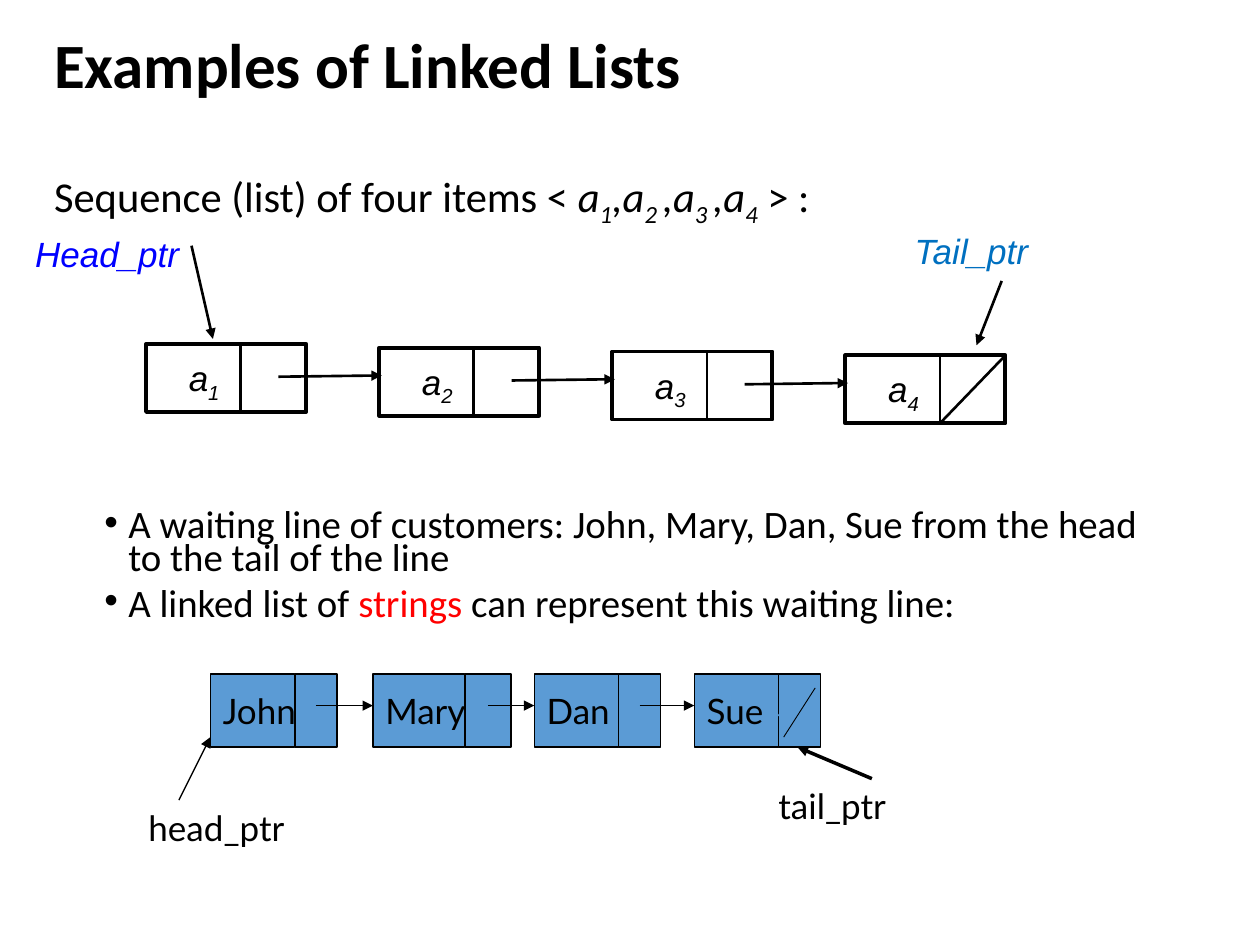
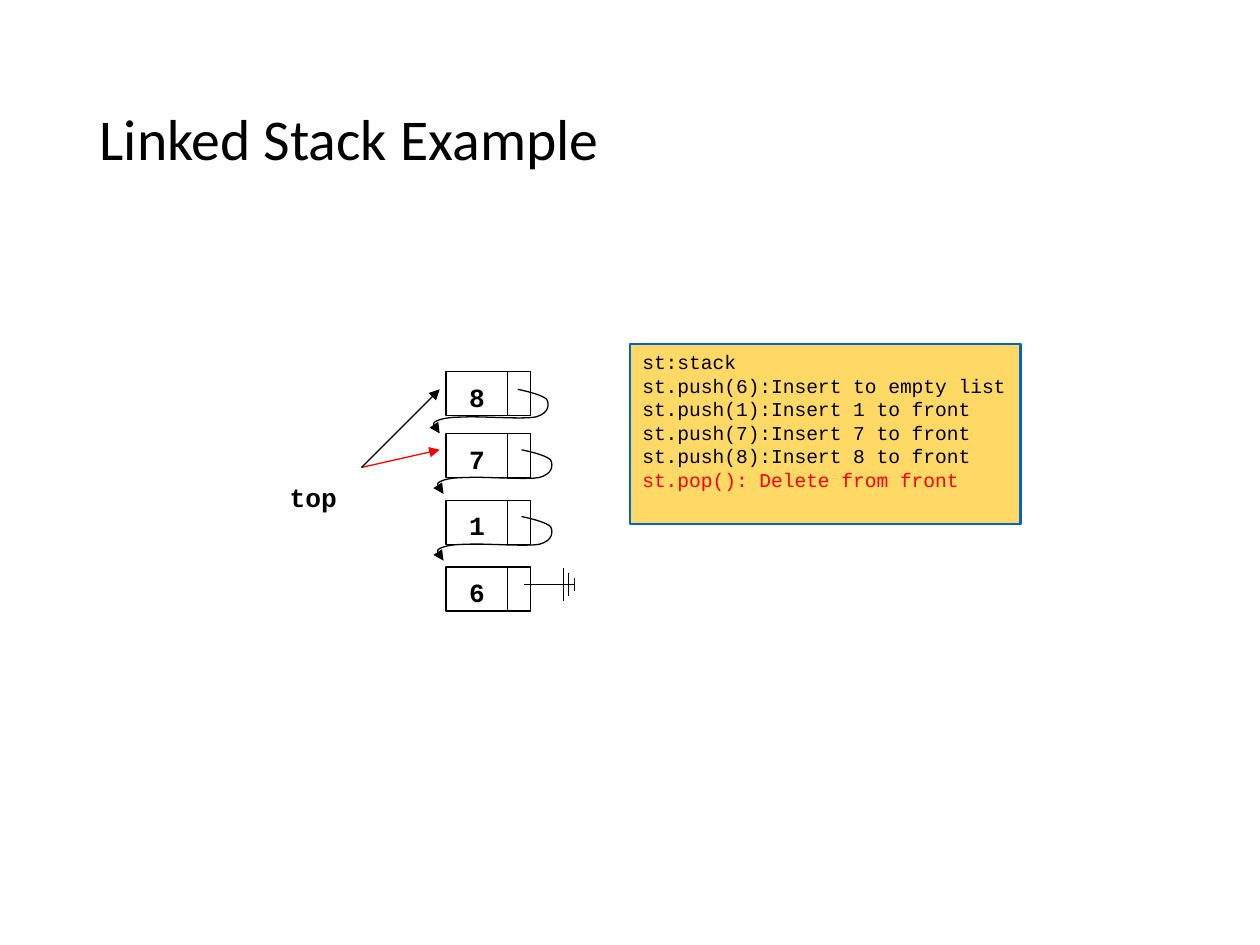
from dataclasses import dataclass

from lxml import etree
from pptx import Presentation
from pptx.dml.color import RGBColor
from pptx.enum.shapes import MSO_CONNECTOR, MSO_SHAPE
from pptx.enum.text import MSO_ANCHOR, MSO_AUTO_SIZE, PP_ALIGN
from pptx.oxml.ns import qn
from pptx.util import Inches, Pt

RECT = MSO_SHAPE.RECTANGLE
STRAIGHT = MSO_CONNECTOR.STRAIGHT
TOP, MIDDLE = MSO_ANCHOR.TOP, MSO_ANCHOR.MIDDLE
LEFT, CENTER = PP_ALIGN.LEFT, PP_ALIGN.CENTER
FIXED = MSO_AUTO_SIZE.NONE


@dataclass(frozen=True)
class Theme:
    """Colours, fonts, type sizes and line widths of the deck."""
    black: str = "000000"
    red: str = "FF0000"
    blue: str = "0000FF"
    azure: str = "0070C0"
    node: str = "5B9BD5"
    note: str = "FFD966"
    edge: str = "0563C1"
    body: str = "Calibri"
    label: str = "Lato"
    math: str = "Arial"
    code: str = "Courier New"
    head: float = 36
    title: float = 33
    lead: float = 24.3
    bullet: float = 22.2
    text: float = 20
    cell: float = 15
    small: float = 11.2
    thin: float = 0.75
    mid: float = 1.5
    thick: float = 2.25


T = Theme()
LOOP = [(0, 0), (.1, .02), (.2, .05), (.23, .08), (.25, .12), (.25, .19),
        (.14, .22), (.03, .24), (-.31, .21), (-.44, .22), (-.57, .22),
        (-.63, .24), (-.66, .26), (-.69, .28), (-.62, .33), (-.62, .35)]


def paint(font, color):
    """Set the colour of a font."""
    font.color.rgb = RGBColor.from_string(color)


def write(para, parts, face, size, color=T.black, bold=False, italic=False):
    """Fill a paragraph with (text, style) runs."""
    font = para.font
    font.name, font.size, font.bold, font.italic = face, Pt(size), bold, italic
    paint(font, color)
    for text, style in parts:
        run = para.add_run()
        run.text = text
        if style == "red":
            paint(run.font, T.red)
        if style in ("italic", "sub"):
            run.font.italic = True
        if style == "sub":
            run._r.get_or_add_rPr().set("baseline", "-25000")


def stroke(line, color, width, arrow=False):
    """Style a line, with an arrowhead at its end if asked."""
    line.color.rgb = RGBColor.from_string(color)
    line.width = Pt(width)
    if arrow:
        etree.SubElement(line._get_or_add_ln(), qn("a:tailEnd"), type="triangle")


def link(slide, start, end, color=T.black, width=T.thin, arrow=False):
    """Draw a straight line between two points."""
    wire = slide.shapes.add_connector(
        STRAIGHT, *(Inches(v) for v in (*start, *end)))
    stroke(wire.line, color, width, arrow)
    etree.SubElement(wire._element.spPr, qn("a:effectLst"))


def block(slide, box, fill=None, color=T.black, width=T.thin):
    """Draw a rectangle and return it."""
    shape = slide.shapes.add_shape(RECT, *(Inches(v) for v in box))
    shape.shadow.inherit = False
    if fill:
        shape.fill.solid()
        shape.fill.fore_color.rgb = RGBColor.from_string(fill)
    else:
        shape.fill.background()
    stroke(shape.line, color, width)
    return shape


def label(slide, box, parts, face, size, color=T.black, wrap=True, **style):
    """Add a one-paragraph text box."""
    frame = slide.shapes.add_textbox(*(Inches(v) for v in box)).text_frame
    frame.word_wrap = wrap
    write(frame.paragraphs[0], parts, face, size, color, **style)


def heading(slide, box, anchor):
    """Place the title placeholder and return its frame."""
    title = slide.shapes.title
    title.left, title.top, title.width, title.height = (Inches(v) for v in box)
    frame = title.text_frame
    frame.auto_size, frame.word_wrap = FIXED, True
    frame.vertical_anchor = anchor
    para = frame.paragraphs[0]
    para.alignment, para.line_spacing = LEFT, 0.9
    return frame


def lead(slide, box):
    """Write the title of the list slide and the sequence line under it."""
    frame = heading(slide, box, TOP)
    frame.margin_top = Inches(0.28)
    write(frame.paragraphs[0], [("Examples of Linked Lists", "")],
          T.body, T.head, bold=True)
    para = frame.add_paragraph()
    para.alignment, para.line_spacing = LEFT, 0.9
    para.space_before = Pt(39.5)
    items = [("a", "italic"), ("1", "sub")]
    for mark in ("2 ", "3 ", "4"):
        items += [(",a", "italic"), (mark, "sub")]
    write(para, [("Sequence (list) of four items < ", ""), *items, (" > :", "")],
          T.body, T.lead)


def chain(slide, x, y):
    """Draw the four-item list with its head and tail pointers."""
    wide, high, split, last = 1.27, 0.54, 0.75, 3
    for i in range(last + 1):
        left, top = x + 1.85 * i, y + 0.03 * i
        block(slide, (left, top, wide, high), width=T.thick)
        link(slide, (left + split, top), (left + split, top + high), width=T.mid)
        label(slide, (left + 0.24, top + 0.05, 0.46, 0.43),
              [("a", ""), (str(i + 1), "sub")], T.math, T.text,
              wrap=False, italic=True)
        if i < last:
            link(slide, (left + 1.05, top + 0.26), (left + 1.87, top + 0.25),
                 width=T.mid, arrow=True)
        else:
            link(slide, (left + wide, top), (left + split, top + high),
                 width=T.mid)
    label(slide, (x - 0.98, y - 0.93, 1.36, 0.44), [("Head_ptr", "")],
          T.math, T.text, T.blue, italic=True)
    link(slide, (x + 0.36, y - 0.78), (x + 0.53, y - 0.04),
         width=T.mid, arrow=True)
    label(slide, (x + 6, y - 0.96, 1.11, 0.77), [("Tail_ptr", "")],
          T.math, T.text, T.azure, wrap=False, italic=True)
    link(slide, (x + 6.79, y - 0.5), (x + 6.59, y + 0.01),
         width=T.mid, arrow=True)


def points(slide, box):
    """Write the bullets about the waiting line."""
    frame = slide.shapes.add_textbox(*(Inches(v) for v in box)).text_frame
    frame.word_wrap = True
    rows = [
        [("A waiting line of customers: John, Mary, Dan, Sue from the head "
          "to the tail of the line", "")],
        [("A linked list of ", ""), ("strings ", "red"),
         ("can represent this waiting line:", "")],
    ]
    for i, parts in enumerate(rows):
        para = frame.add_paragraph() if i else frame.paragraphs[0]
        para.line_spacing, para.space_before = 0.7, Pt(7.5)
        write(para, parts, T.body, T.bullet)
        props = para._p.get_or_add_pPr()
        props.set("marL", str(Inches(0.19)))
        props.set("indent", str(-Inches(0.19)))
        font = props.find(qn("a:defRPr"))
        font.addprevious(etree.Element(qn("a:buFont"), typeface="Arial"))
        font.addprevious(etree.Element(qn("a:buChar"), char="•"))


def queue(slide, x, y):
    """Draw the list of customers with its two pointers."""
    high, mid = 0.58, y + 0.25
    tail = None
    for name, gap, wide in (("John", 0, .67), ("Mary", 1.29, .73),
                            ("Dan", 2.57, .67), ("Sue", 3.84, .67)):
        left = x + gap
        cell = block(slide, (left, y, wide, high), T.node)
        frame = cell.text_frame
        frame.word_wrap, frame.vertical_anchor = False, MIDDLE
        frame.paragraphs[0].alignment = LEFT
        write(frame.paragraphs[0], [(name, "")], T.label, T.text)
        block(slide, (left + wide, y, wide / 2, high), T.node)
        if tail:
            link(slide, (tail, mid), (left, mid), arrow=True)
        tail = left + wide * 1.25
    link(slide, (x - 0.25, y + 1), (x, y + 0.5), arrow=True)
    label(slide, (x - 0.59, y + 1, 1.5, 0.5), [("head_ptr", "")],
          T.label, T.text)
    label(slide, (x + 4.41, y + 0.83, 1.5, 0.5), [("tail_ptr", "")],
          T.label, T.text)
    link(slide, (x + 5.25, y + 0.83), (x + 4.66, y + 0.58), width=0, arrow=True)
    link(slide, (x + 4.46, y + 0.39), (x + 4.71, y + 0.06), T.node, 0.5)
    link(slide, (x + 4.8, y + 0.11), (x + 4.55, y + 0.5), width=0.5)


def curve(knots, steps=8):
    """Return points along joined cubic curves."""
    spots = []
    for i in range(0, len(knots) - 1, 3):
        for step in range(1, steps + 1):
            t = step / steps
            u = 1 - t
            parts = (u ** 3, 3 * u * u * t, 3 * u * t * t, t ** 3)
            spots.append(tuple(sum(w * knot[axis] for w, knot in
                                   zip(parts, knots[i:i + 4]))
                               for axis in (0, 1)))
    return spots


def loop(slide, x, y):
    """Draw the curved arrow from one node to the next."""
    spots = [(Inches(x + dx), Inches(y + dy)) for dx, dy in curve(LOOP)]
    pen = slide.shapes.build_freeform(Inches(x), Inches(y))
    pen.add_line_segments(spots, close=False)
    shape = pen.convert_to_shape()
    shape.shadow.inherit = False
    shape.fill.background()
    stroke(shape.line, T.black, T.thin, arrow=True)


def stack(slide, x, y):
    """Draw the stack of nodes, its top pointers and the ground mark."""
    wide, slot, high = 0.49, 0.18, 0.35
    for name, drop in (("8", 0), ("7", .49), ("1", 1.02), ("6", 1.55)):
        cell = block(slide, (x, y + drop, wide, high))
        frame = cell.text_frame
        frame.vertical_anchor, frame.margin_bottom = MIDDLE, 0
        frame.paragraphs[0].alignment = CENTER
        write(frame.paragraphs[0], [(name, "")], T.code, T.cell, bold=True)
        block(slide, (x + wide, y + drop, slot, high))
    for shift, drop in ((.57, .14), (.6, .62), (.6, 1.15)):
        loop(slide, x + shift, y + drop)
    label(slide, (x - 1.34, y + 0.82, 0.74, 0.37), [("top", "")],
          T.code, T.cell, bold=True)
    for color, drop in ((T.red, .62), (T.black, .14)):
        link(slide, (x - 0.67, y + 0.76), (x - 0.05, y + drop), color, arrow=True)
    mid = y + 1.69
    link(slide, (x + 0.62, mid), (x + 1.02, mid))
    for shift, half in ((.93, .13), (.97, .09), (1.02, .05)):
        link(slide, (x + shift, mid - half), (x + shift, mid + half))


def steps(slide, box):
    """Draw the panel of stack calls."""
    frame = block(slide, box, T.note, T.edge, T.mid).text_frame
    frame.word_wrap, frame.vertical_anchor = True, TOP
    rows = ["st:stack", "st.push(6):Insert to empty list"]
    rows += [f"st.push({n}):Insert {n} to front" for n in (1, 7, 8)]
    rows.append("st.pop(): Delete from front")
    for i, row in enumerate(rows):
        para = frame.add_paragraph() if i else frame.paragraphs[0]
        para.alignment = LEFT
        color = T.red if "pop" in row else T.black
        write(para, [(row, "")], T.code, T.small, color)


def main():
    """Build both slides and save the deck."""
    deck = Presentation()
    deck.slide_width, deck.slide_height = Inches(10), Inches(7.5)
    plain = deck.slide_layouts[5]

    lists = deck.slides.add_slide(plain)
    lead(lists, (0.33, -0.01, 8.62, 1.15))
    points(lists, (0.73, 4.02, 8.62, 1.07))
    queue(lists, 1.67, 5.35)
    chain(lists, 1.16, 2.73)

    piles = deck.slides.add_slide(plain)
    frame = heading(piles, (0.69, 0.4, 8.62, 1.45), MIDDLE)
    write(frame.paragraphs[0], [("Linked Stack Example", "")], T.body, T.title)
    steps(piles, (5, 2.73, 3.1, 1.43))
    stack(piles, 3.54, 2.95)
    deck.save("out.pptx")


if __name__ == "__main__":
    main()
